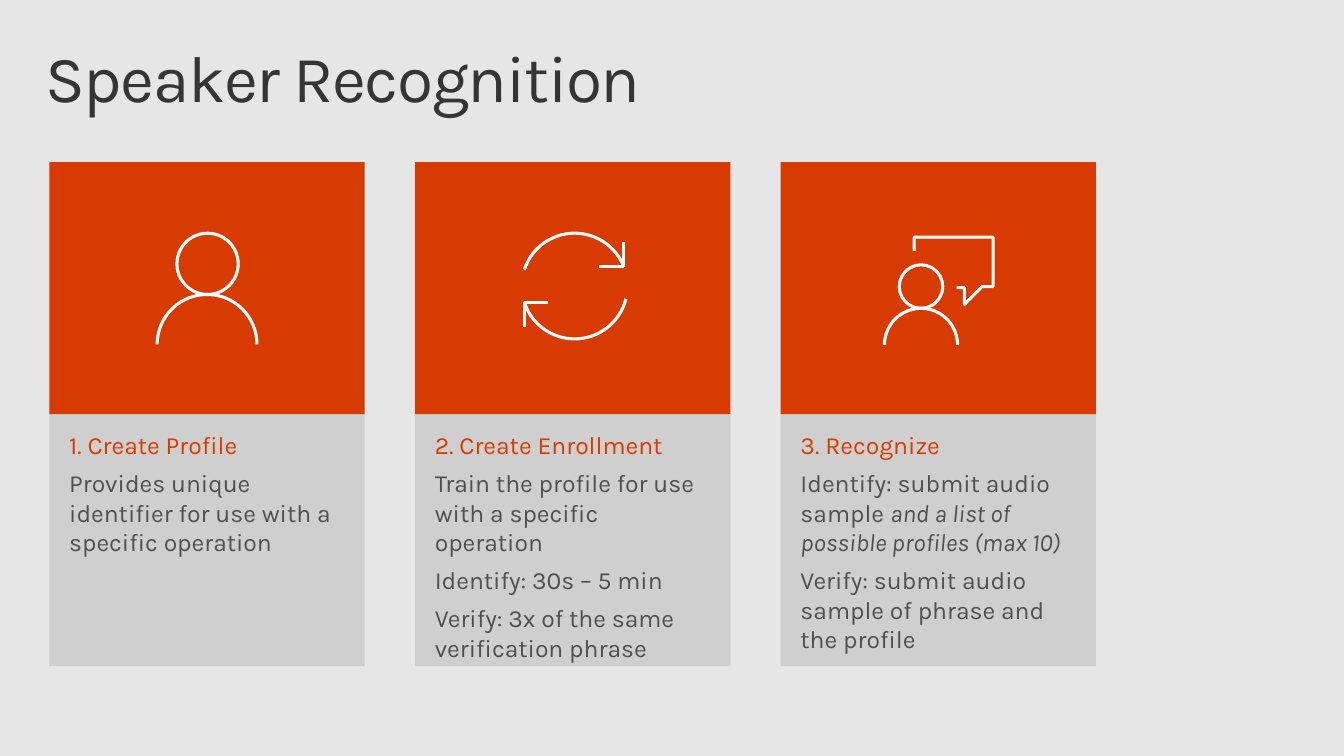
from pptx import Presentation
from pptx.dml.color import RGBColor
from pptx.enum.shapes import MSO_SHAPE
from pptx.enum.text import MSO_ANCHOR, PP_ALIGN
from pptx.oxml.ns import qn
from pptx.util import Inches, Pt
from lxml import etree

RECT, OVAL, ARC = MSO_SHAPE.RECTANGLE, MSO_SHAPE.OVAL, MSO_SHAPE.ARC
LEFT, TOP, MIDDLE = PP_ALIGN.LEFT, MSO_ANCHOR.TOP, MSO_ANCHOR.MIDDLE
FONT = "Karla"
ORANGE, DARK, GRAY, WHITE = "D83B01", "353535", "505050", "FFFFFF"
CARD_LEFT, CARD_TOP, CARD_PITCH = 0.5, 1.64, 3.7
CARD_WIDTH, PANEL_HEIGHT = 3.19, 2.55


def rgb(value):
    return RGBColor.from_string(value)


def style(shape, fill=None, line=None):
    shape.shadow.inherit = False
    if fill:
        shape.fill.solid()
        shape.fill.fore_color.rgb = rgb(fill)
    else:
        shape.fill.background()
    if line:
        shape.line.color.rgb = rgb(line)
        shape.line.width = Pt(2.25)
    else:
        shape.line.fill.background()
    return shape


prs = Presentation()
prs.slide_width, prs.slide_height = Inches(13.6), Inches(7.65)
slide = prs.slides.add_slide(prs.slide_layouts[6])
slide.background.fill.solid()
slide.background.fill.fore_color.rgb = rgb("E6E6E6")
shapes = slide.shapes

title = shapes.add_textbox(Inches(0.3), Inches(0.32), Inches(13), Inches(1)).text_frame
title.word_wrap = True
title.vertical_anchor = MIDDLE
title.margin_left = title.margin_right = Inches(0.16)
title.margin_top = title.margin_bottom = Inches(0.1)
heading = title.paragraphs[0]
heading.text = "Speaker Recognition"
heading.line_spacing = 0.9
heading.font.name, heading.font.size = FONT, Pt(48)
heading.font.color.rgb = rgb(DARK)
heading.runs[0].font.size = Pt(48)
heading.runs[0].font._element.set("spc", "-100")

cards = [
    ("1. Create Profile",
     [[("Provides unique identifier for use with a specific operation", False)]]),
    ("2. Create Enrollment",
     [[("Train the profile for use with a specific operation", False)],
      [("Identify: 30s – 5 min", False)],
      [("Verify: 3x of the same verification phrase", False)]]),
    ("3. Recognize",
     [[("Identify: submit audio sample ", False),
       ("and a list of possible profiles (max 10)", True)],
      [("Verify: submit audio sample of phrase and the profile", False)]]),
]

for index, (step, details) in enumerate(cards):
    left = Inches(CARD_LEFT + index * CARD_PITCH)
    width, height = Inches(CARD_WIDTH), Inches(PANEL_HEIGHT)
    style(shapes.add_shape(RECT, left, Inches(CARD_TOP), width, height), ORANGE)
    panel = style(shapes.add_shape(RECT, left, Inches(CARD_TOP + PANEL_HEIGHT), width, height), DARK)
    tint = panel.fill._xPr.find(qn("a:solidFill"))[0]
    etree.SubElement(tint, qn("a:alpha")).set("val", "13000")

    frame = panel.text_frame
    frame.word_wrap = True
    frame.vertical_anchor = TOP
    frame.margin_left = frame.margin_right = Inches(0.2)
    frame.margin_top = frame.margin_bottom = Inches(0.16)
    for row, pieces in enumerate([[(step, False)]] + details):
        paragraph = frame.add_paragraph() if row else frame.paragraphs[0]
        paragraph.alignment = LEFT
        paragraph.space_before = Pt(6 if row else 0)
        paragraph.font.name, paragraph.font.size = FONT, Pt(18)
        paragraph.font.color.rgb = rgb(GRAY if row else ORANGE)
        for words, italic in pieces:
            run = paragraph.add_run()
            run.text = words
            if italic:
                run.font.italic = True

heads = [(1.79, 2.36, 0.62), (9.1, 2.68, 0.44)]
for x, y, size in heads:
    style(shapes.add_shape(OVAL, Inches(x), Inches(y), Inches(size), Inches(size)), line=WHITE)

shoulders = [(1.59, 2.98, 1.01, 180, 0), (8.95, 3.12, 0.74, 180, 0)]
cycle = [(5.28, 2.36, 1.07, 198, 339), (5.28, 2.36, 1.07, 14, 162)]
for x, y, size, start, end in shoulders + cycle:
    arc = style(shapes.add_shape(ARC, Inches(x), Inches(y), Inches(size), Inches(size)), line=WHITE)
    arc.adjustments[0], arc.adjustments[1] = start * 0.6, end * 0.6

speech_bubble = [(925, 254), (925, 240), (1005, 240), (1005, 290),
                 (994, 290), (976, 308), (976, 291), (968, 291)]
upper_arrowhead = [(606, 270), (631, 270), (631, 245)]
lower_arrowhead = [(555, 306), (531, 306), (531, 331)]
for points in (speech_bubble, upper_arrowhead, lower_arrowhead):
    outline = shapes.build_freeform(*points[0], scale=Inches(0.01))
    outline.add_line_segments(points[1:], close=False)
    style(outline.convert_to_shape(), line=WHITE)

prs.save("out.pptx")
